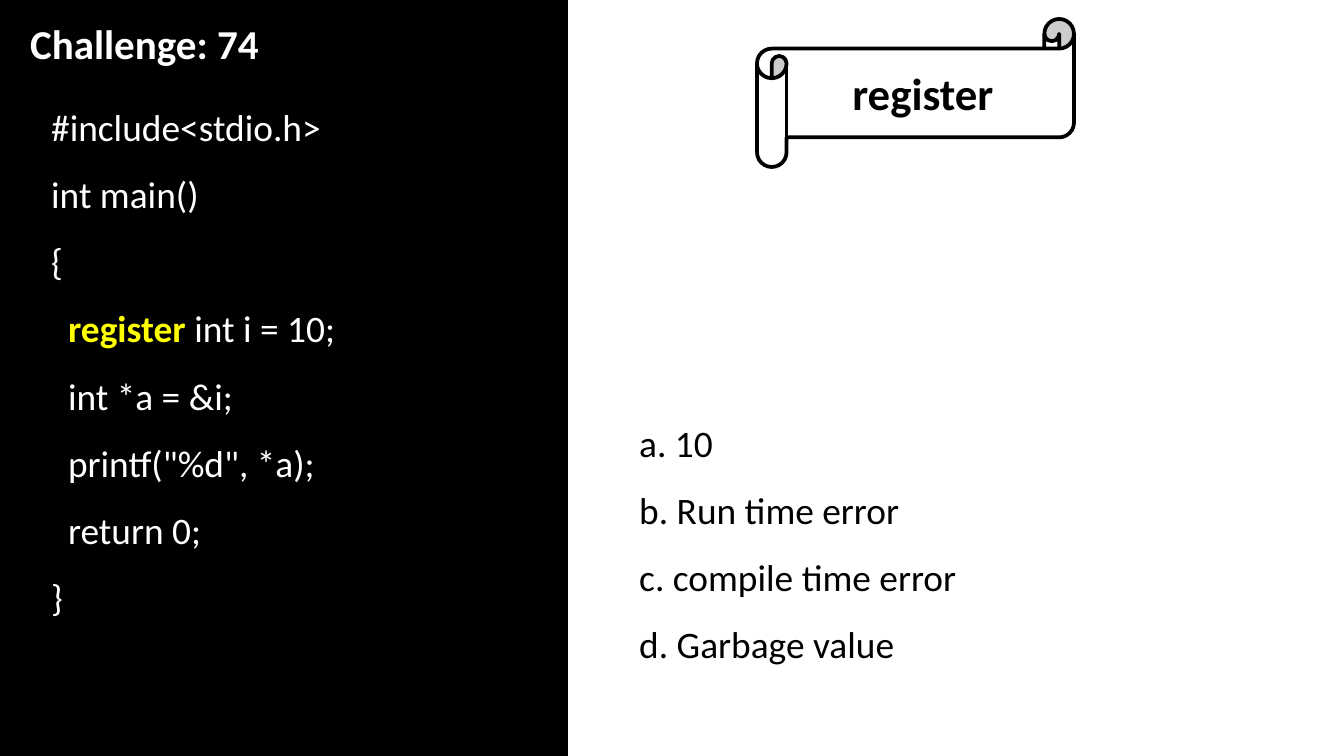
from pptx import Presentation
from pptx.dml.color import RGBColor
from pptx.enum.shapes import MSO_SHAPE
from pptx.enum.text import MSO_ANCHOR, MSO_AUTO_SIZE, PP_ALIGN
from pptx.util import Pt

EMU_PER_PX = 914400 / 134.4
FONT = "Calibri"
BLACK, WHITE, YELLOW = "000000", "FFFFFF", "FFFF00"

CODE = [
    [("#include<stdio.h>", WHITE, False)],
    [("int main()", WHITE, False)],
    [("{", WHITE, False)],
    [("  ", WHITE, False), ("register", YELLOW, True), (" int i = 10;", WHITE, False)],
    [("  int *a = &i;", WHITE, False)],
    [('  printf("%d", *a);', WHITE, False)],
    [("  return 0;", WHITE, False)],
    [("}", WHITE, False)],
]
ANSWERS = ["a. 10", "b. Run time error", "c. compile time error", "d. Garbage value"]


def px(n):
    """Turn whole pixels into EMU."""
    return round(n * EMU_PER_PX)


def rgb(code):
    """Return the colour for a hex string."""
    return RGBColor.from_string(code)


def write(tf, lines, size, spacing=None, align=None):
    """Fill a text frame with lines of (text, colour, bold) runs."""
    for i, runs in enumerate(lines):
        p = tf.add_paragraph() if i else tf.paragraphs[0]
        p.line_spacing = spacing
        p.alignment = align
        for text, color, bold in runs:
            r = p.add_run()
            r.text = text
            r.font.name = FONT
            r.font.size = Pt(size)
            r.font.bold = bold
            r.font.color.rgb = rgb(color)


def add_shape(s, kind, box, fill):
    """Add a filled preset shape with a black outline."""
    sp = s.shapes.add_shape(kind, *map(px, box))
    sp.shadow.inherit = False
    sp.fill.solid()
    sp.fill.fore_color.rgb = rgb(fill)
    sp.line.color.rgb = rgb(BLACK)
    sp.line.width = Pt(2)
    return sp


def add_text(s, box, lines, size, spacing=None, wrap=True):
    """Add a text box that grows with its lines."""
    tf = s.shapes.add_textbox(*map(px, box)).text_frame
    tf.word_wrap = wrap
    tf.auto_size = MSO_AUTO_SIZE.SHAPE_TO_FIT_TEXT
    write(tf, lines, size, spacing)


def add_scroll(s, box, label):
    """Add a horizontal scroll with a centred bold label."""
    sp = add_shape(s, MSO_SHAPE.HORIZONTAL_SCROLL, box, WHITE)
    sp.adjustments[0] = 0.2
    sp.text_frame.vertical_anchor = MSO_ANCHOR.MIDDLE
    write(sp.text_frame, [[(label, BLACK, True)]], 24, align=PP_ALIGN.CENTER)


def main():
    """Build the quiz slide and save it."""
    prs = Presentation()
    prs.slide_width, prs.slide_height = px(1344), px(756)
    s = prs.slides.add_slide(prs.slide_layouts[6])
    add_shape(s, MSO_SHAPE.RECTANGLE, (0, 0, 566, 756), BLACK)
    add_scroll(s, (757, 19, 317, 148), "register")
    add_text(s, (38, 75, 469, 556), CODE, 20, 1.5)
    answers = [[(answer, BLACK, False)] for answer in ANSWERS]
    add_text(s, (626, 391, 388, 285), answers, 20, 1.5)
    add_text(s, (17, 12, 255, 63), [[("Challenge: 74", WHITE, True)]], 22, wrap=False)
    prs.save("out.pptx")


if __name__ == "__main__":
    main()
